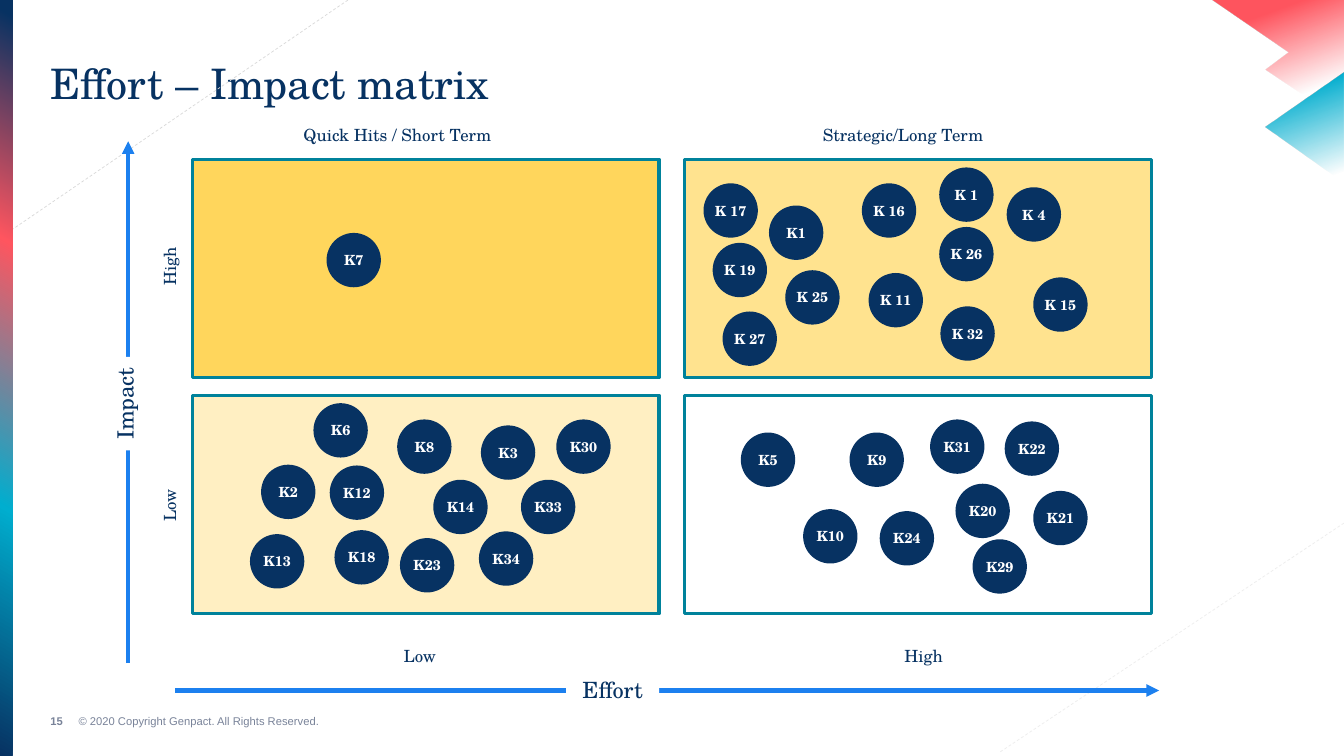
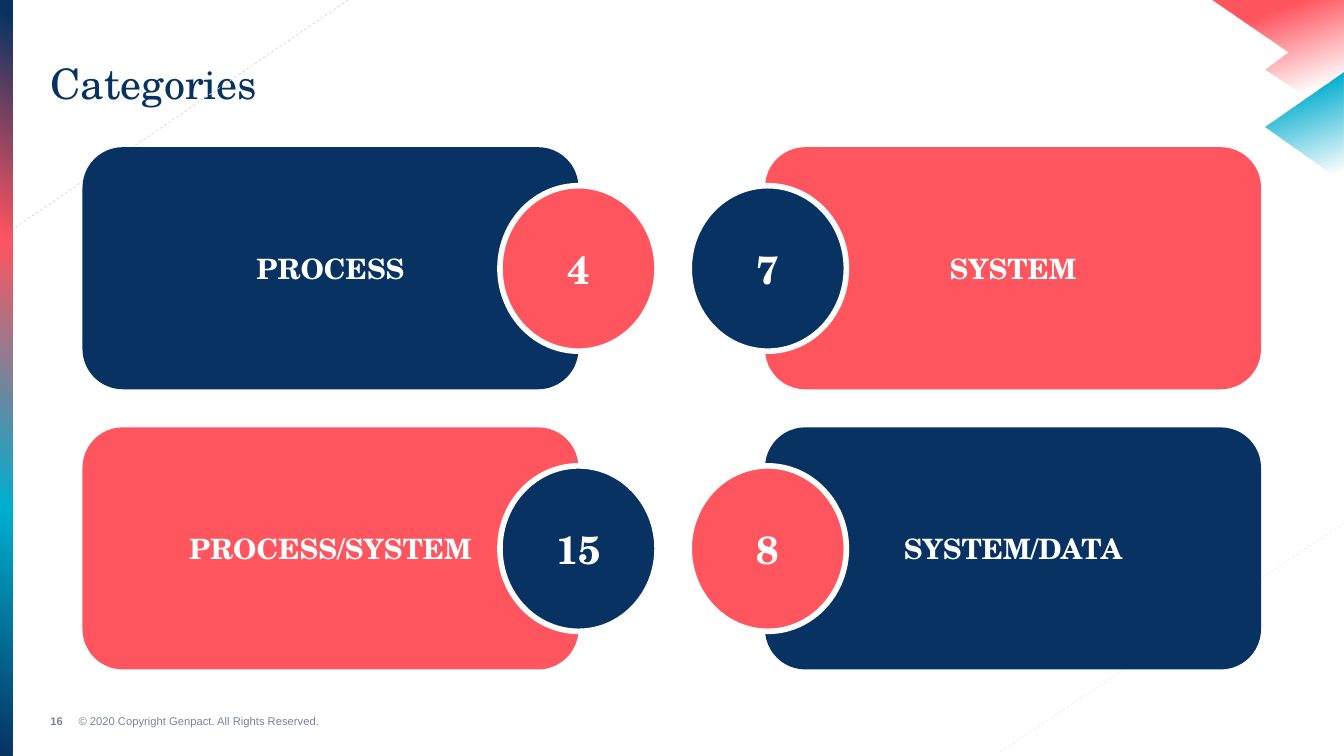
import lxml.etree
import pptx
import pptx.dml.color
import pptx.enum.dml
import pptx.enum.shapes
import pptx.enum.text
import pptx.oxml
import pptx.oxml.ns
import pptx.util

Cm = pptx.util.Cm
Pt = pptx.util.Pt
SHAPES = pptx.enum.shapes.MSO_SHAPE
ALIGN = pptx.enum.text.PP_ALIGN
ANCHOR = pptx.enum.text.MSO_ANCHOR
qn = pptx.oxml.ns.qn

WIDTH, HEIGHT = 33.87, 19.05
NAVY, CORAL, CYAN, TEAL = "073262", "FF555F", "00AECF", "00829B"
BLUE, AMBER, GREY, WHITE = "1C80EF", "FFC000", "798399", "FFFFFF"
SERIF, SANS = "TeX Gyre Schola", "Arial"
COPYRIGHT = "© 2020 Copyright Genpact. All Rights Reserved."

BUBBLE = 1.37
BUBBLES = [
    ("K7", 8.23, 5.87),
    ("K1", 19.38, 5.18), ("K 11", 21.89, 6.88), ("K 4", 25.37, 4.72),
    ("K 15", 26.04, 6.99), ("K 16", 21.72, 4.62), ("K 17", 17.73, 4.62),
    ("K 19", 17.96, 6.12), ("K 25", 19.79, 6.81), ("K 26", 23.67, 5.72),
    ("K 27", 18.21, 7.85), ("K 32", 23.7, 7.72), ("K 1", 23.67, 4.22),
    ("K3", 12.12, 10.72), ("K2", 6.58, 11.71), ("K6", 7.9, 10.16),
    ("K8", 10.01, 10.57), ("K12", 8.31, 11.73), ("K13", 6.3, 13.46),
    ("K14", 10.92, 12.09), ("K18", 8.43, 13.36), ("K23", 10.08, 13.56),
    ("K30", 14.02, 10.57), ("K33", 13.13, 12.09), ("K34", 12.07, 13.39),
    ("K5", 18.67, 10.9), ("K9", 21.41, 10.9), ("K10", 20.24, 12.83),
    ("K20", 24.08, 12.19), ("K21", 26.04, 12.37), ("K22", 25.32, 10.62),
    ("K24", 22.17, 12.88), ("K29", 24.51, 13.59), ("K31", 23.44, 10.57),
]
QUADRANT_OPACITY = [[64, 44], [24, None]]
CATEGORIES = [
    [("PROCESS", "4", NAVY, CORAL), ("SYSTEM", "7", CORAL, NAVY)],
    [("PROCESS/SYSTEM", "15", CORAL, NAVY), ("SYSTEM/DATA", "8", NAVY, CORAL)],
]


def color(value):
    """Turn a hex string into a colour."""
    return pptx.dml.color.RGBColor.from_string(value)


def write(shape, text, size, font=SERIF, text_color=NAVY, bold=False,
          align=ALIGN.CENTER, anchor=ANCHOR.MIDDLE, inset=0, wrap=True):
    """Put one formatted paragraph into a shape."""
    frame = shape.text_frame
    frame.text = text
    frame.word_wrap = wrap
    frame.auto_size = pptx.enum.text.MSO_AUTO_SIZE.NONE
    frame.vertical_anchor = anchor
    frame.margin_left = frame.margin_right = 0
    frame.margin_top = frame.margin_bottom = Cm(inset)
    paragraph = frame.paragraphs[0]
    paragraph.alignment = align
    paragraph.space_before = Pt(0)
    for run in paragraph.runs:
        run.font.name = font
        run.font.size = Pt(size)
        run.font.bold = bold
        run.font.color.rgb = color(text_color)


def add_panel(slide, kind, left, top, width, height, fill=None, opacity=100,
              line=None, line_width=0):
    """Add a preset shape with a plain fill and outline."""
    shape = slide.shapes.add_shape(kind, Cm(left), Cm(top), Cm(width), Cm(height))
    shape.shadow.inherit = False
    if fill:
        shape.fill.solid()
        shape.fill.fore_color.rgb = color(fill)
    else:
        shape.fill.background()
    if fill and opacity < 100:
        node = shape.element.spPr.find(qn("a:solidFill") + "/" + qn("a:srgbClr"))
        lxml.etree.SubElement(node, qn("a:alpha"), val=str(opacity * 1000))
    if line:
        shape.line.color.rgb = color(line)
        shape.line.width = Pt(line_width)
    else:
        shape.line.fill.background()
    return shape


def add_label(slide, text, center_x, center_y, width, height, size, fill=None,
              rotation=0):
    """Add centred text around a middle point."""
    label = add_panel(slide, SHAPES.RECTANGLE, center_x - width / 2,
                      center_y - height / 2, width, height, fill)
    label.rotation = rotation
    write(label, text, size)


def add_footer_text(slide, text, left, width, bold=False):
    """Add a small grey text on the footer line."""
    box = slide.shapes.add_textbox(Cm(left), Cm(17.86), Cm(width), Cm(0.6))
    write(box, text, 8, SANS, GREY, bold, ALIGN.LEFT)


def add_line(slide, start, end, line_color, width):
    """Add a straight line between two points."""
    line = slide.shapes.add_connector(
        pptx.enum.shapes.MSO_CONNECTOR.STRAIGHT,
        *(Cm(value) for value in (*start, *end)))
    line.line.color.rgb = color(line_color)
    line.line.width = Pt(width)
    lxml.etree.SubElement(line.element.spPr, qn("a:effectLst"))
    return line


def add_arrow(slide, start, end):
    """Add an axis arrow."""
    arrow = add_line(slide, start, end, BLUE, 3)
    outline = arrow.element.spPr.find(qn("a:ln"))
    lxml.etree.SubElement(outline, qn("a:tailEnd"), type="triangle")


def add_outline(slide, points):
    """Add a closed polygon through the points."""
    corners = [(Cm(x), Cm(y)) for x, y in points]
    builder = slide.shapes.build_freeform(*corners[0])
    builder.add_line_segments(corners[1:])
    shape = builder.convert_to_shape()
    shape.shadow.inherit = False
    shape.line.fill.background()
    return shape


def set_gradient(shape, angle, stops):
    """Fill a shape with a linear gradient of position, colour and opacity."""
    properties = shape.element.spPr
    for old in properties.findall(qn("a:noFill")):
        properties.remove(old)
    gradient = pptx.oxml.parse_xml(
        f'<a:gradFill {pptx.oxml.ns.nsdecls("a")} rotWithShape="1"/>')
    stop_list = lxml.etree.SubElement(gradient, qn("a:gsLst"))
    for position, value, opacity in stops:
        stop = lxml.etree.SubElement(stop_list, qn("a:gs"), pos=str(position * 1000))
        node = lxml.etree.SubElement(stop, qn("a:srgbClr"), val=value)
        lxml.etree.SubElement(node, qn("a:alpha"), val=str(opacity * 1000))
    lxml.etree.SubElement(gradient, qn("a:lin"), ang=str(angle * 60000), scaled="0")
    properties.insert(2, gradient)


def add_decoration(slide):
    """Draw the side band, corner arrows and faint diagonals."""
    for start, end, tint in [((8.77, 0), (0.33, 5.77), "D9D9D9"),
                             ((WIDTH, 13.18), (25.2, 18.95), "EDEDED")]:
        diagonal = add_line(slide, start, end, tint, 0.5)
        diagonal.line.dash_style = pptx.enum.dml.MSO_LINE.DASH
    coral_arrow = add_outline(slide, [(30.53, 0), (32.46, 1.32), (31.88, 1.75),
                                      (33.83, 3.05), (WIDTH, 0)])
    set_gradient(coral_arrow, 70, [(20, CORAL, 100), (75, CORAL, 0)])
    cyan_arrow = add_outline(slide, [(WIDTH, 1.83), (31.9, 3.2), (WIDTH, 4.6)])
    set_gradient(cyan_arrow, 70, [(20, CYAN, 100), (92, CYAN, 0)])
    band = add_panel(slide, SHAPES.RECTANGLE, 0, 0, 0.32, HEIGHT)
    set_gradient(band, 300, [(0, NAVY, 100), (33, CYAN, 100),
                             (68, CORAL, 100), (98, NAVY, 100)])


def add_slide(presentation, title_text, number):
    """Add a slide with the shared title, decoration and footer."""
    slide = presentation.slides.add_slide(presentation.slide_layouts[5])
    title = slide.shapes.title
    title.left, title.top = Cm(1.27), Cm(1.32)
    title.width, title.height = Cm(31.32), Cm(1.47)
    write(title, title_text, 30, align=ALIGN.LEFT, anchor=ANCHOR.TOP, inset=0.13)
    add_decoration(slide)
    add_footer_text(slide, str(number), 1.27, 0.7, bold=True)
    add_footer_text(slide, COPYRIGHT, 1.98, 6.5)
    return slide


def add_axes(slide):
    """Draw the effort and impact axes with their labels."""
    add_arrow(slide, (4.42, 17.4), (29.21, 17.4))
    add_label(slide, "Effort", 15.44, 17.37, 2.34, 0.69, 16, WHITE)
    add_arrow(slide, (3.23, 16.71), (3.23, 3.56))
    add_label(slide, "Impact", 3.14, 10.17, 2.36, 0.69, 16, WHITE, 270)
    for text, x, y, rotation in [
            ("Quick Hits / Short Term", 10.02, 3.4, 0),
            ("Strategic/Long Term", 22.76, 3.4, 0),
            ("Low", 10.58, 16.52, 0), ("High", 23.28, 16.52, 0),
            ("High", 4.27, 6.71, 270), ("Low", 4.27, 12.73, 270)]:
        add_label(slide, text, x, y, 5.5, 0.51, 12, rotation=rotation)


def add_matrix(slide):
    """Draw the four quadrants and the numbered bubbles."""
    for row, opacities in enumerate(QUADRANT_OPACITY):
        for column, opacity in enumerate(opacities):
            add_panel(slide, SHAPES.RECTANGLE, 4.85 + column * 12.4,
                      4.01 + row * 5.95, 11.76, 5.51,
                      AMBER if opacity else None, opacity, TEAL, 2.25)
    for text, left, top in BUBBLES:
        bubble = add_panel(slide, SHAPES.OVAL, left, top, BUBBLE, BUBBLE, NAVY)
        write(bubble, text, 10, text_color=WHITE, bold=True, wrap=False)


def add_categories(slide):
    """Draw the category cards with their counts."""
    for row, cards in enumerate(CATEGORIES):
        top = 3.71 + row * 7.06
        for column, (name, count, card_fill, count_fill) in enumerate(cards):
            card = add_panel(slide, SHAPES.ROUNDED_RECTANGLE,
                             2.08 + column * 17.2, top, 12.5, 6.1, card_fill)
            write(card, name, 20, text_color=WHITE, bold=True)
            circle = add_panel(slide, SHAPES.OVAL, 12.6 + column * 4.77, top + 0.97,
                               3.96, 4.17, count_fill, line=WHITE, line_width=4)
            write(circle, count, 28, text_color=WHITE, bold=True)


def main():
    """Build and save the presentation."""
    presentation = pptx.Presentation()
    presentation.slide_width, presentation.slide_height = Cm(WIDTH), Cm(HEIGHT)
    matrix_slide = add_slide(presentation, "Effort – Impact matrix", 15)
    add_axes(matrix_slide)
    add_matrix(matrix_slide)
    add_categories(add_slide(presentation, "Categories", 16))
    presentation.save("out.pptx")


if __name__ == "__main__":
    main()
